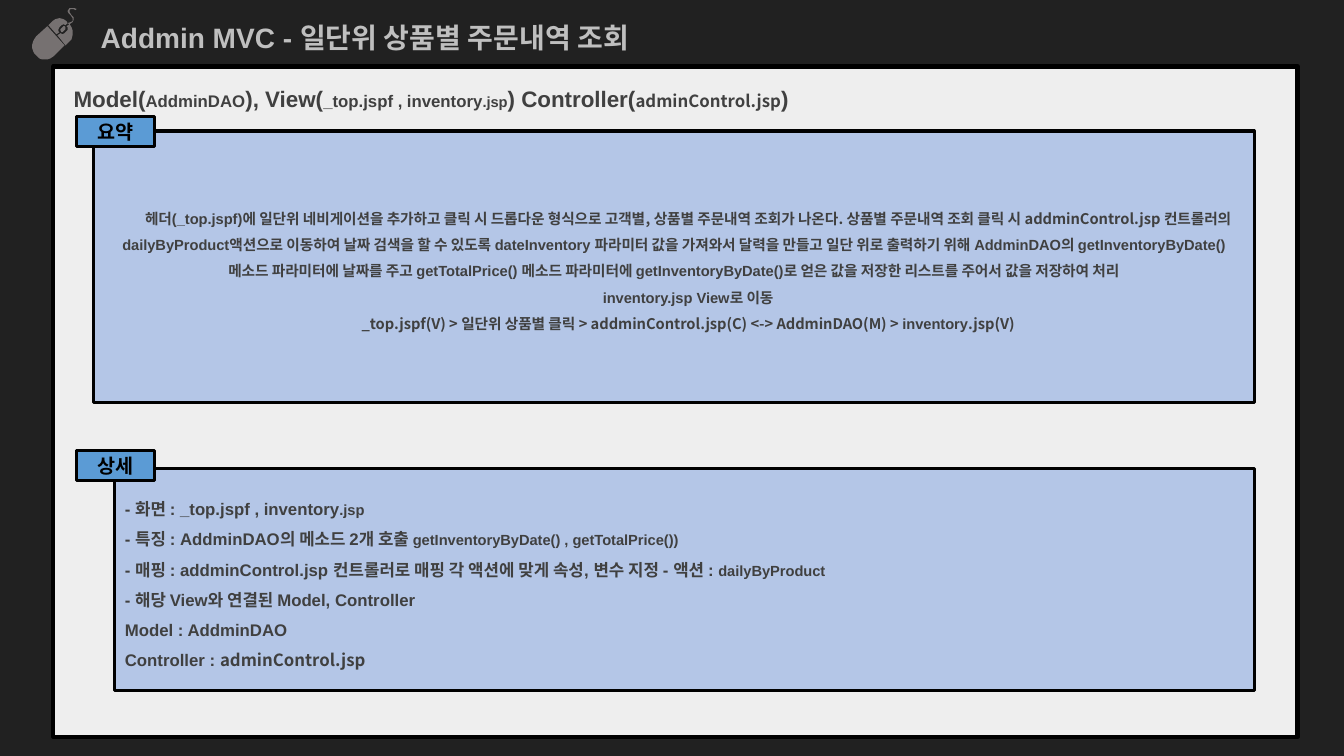
"""Build the slide on the daily order inquiry by product."""
from dataclasses import dataclass

from lxml.etree import SubElement
from pptx import Presentation
from pptx.dml.color import RGBColor
from pptx.enum.shapes import MSO_SHAPE
from pptx.enum.text import MSO_ANCHOR, PP_ALIGN
from pptx.oxml.ns import qn
from pptx.shapes.autoshape import Shape
from pptx.slide import Slide
from pptx.text.text import TextFrame
from pptx.util import Inches, Pt

NIGHT = RGBColor(0x21, 0x21, 0x21)
PAPER = RGBColor(0xEE, 0xEE, 0xEE)
PANEL = RGBColor(0xB4, 0xC6, 0xE7)
LABEL = RGBColor(0x5B, 0x9B, 0xD5)
BLACK = RGBColor(0x00, 0x00, 0x00)
BODY = RGBColor(0x40, 0x40, 0x40)
SILVER = RGBColor(0xBF, 0xBF, 0xBF)
MOUSE = RGBColor(0x76, 0x71, 0x71)
ARIAL = "Arial"
NOTO = "Noto Sans CJK KR"


@dataclass(frozen=True)
class Span:
    text: str
    size: float
    font: str = ARIAL
    color: RGBColor = BODY


@dataclass(frozen=True)
class Box:
    left: float
    top: float
    width: float
    height: float
    fill: RGBColor
    border: float
    paras: list[list[Span]]
    align: PP_ALIGN = PP_ALIGN.LEFT
    anchor: MSO_ANCHOR = MSO_ANCHOR.MIDDLE
    spacing: float = 1.5
    indent: float = 0
    inset: float = 0.1


TITLE = [[Span("Addmin MVC - 일단위 상품별 주문내역 조회", 20, color=SILVER)]]
HEADING = [[
    Span("Model(", 16), Span("AddminDAO", 12), Span("), View(", 16),
    Span("_top.jspf ,", 12), Span(" ", 11), Span("inventory", 12), Span(".jsp", 10.5),
    Span(") Controller(", 16), Span("adminControl.jsp", 12, NOTO), Span(")", 16),
]]
SUMMARY = [
    [
        Span("헤더(_top.jspf)에 ", 10.5),
        Span("일단위 네비게이션을 추가하고 클릭 시 드롭다운 형식으로 고객별, 상품별 주문내역 조회가 나온다. "
             "상품별 주문내역 조회 클릭 시 addminControl.jsp 컨트롤러의 ", 10.5, NOTO),
        Span("dailyByProduct액션으로 이동하여 날짜 검색을 할 수 있도록 dateInventory 파라미터 값을 "
             "가져와서 달력을 만들고 일단 위로 출력하기 위해 AddminDAO의 getInventoryByDate() "
             "메소드 파라미터에 날짜를 주고 getTotalPrice() 메소드 파라미터에 getInventoryByDate()로 "
             "얻은 값을 저장한 리스트를 주어서 값을 저장하여 처리", 10.5),
    ],
    [Span("inventory.jsp View로 이동", 10.5)],
    [
        Span("_top.jspf(V) > 일단위 상품별 클릭 > addminControl.jsp(C) <-> AddminDAO(M) > ",
             10.5, NOTO),
        Span("inventory", 10.5), Span(".jsp(V)", 10.5, NOTO),
    ],
]
DETAILS = [
    [Span("- 화면 : _top.jspf ,", 12), Span(" ", 11), Span("inventory", 12), Span(".jsp", 10.5)],
    [Span("- 특징 : AddminDAO의 메소드 2개 호출 ", 12),
     Span("getInventoryByDate() , getTotalPrice())", 10.5)],
    [Span("- 매핑 : addminControl.jsp 컨트롤러로 매핑 각 액션에 맞게 속성, 변수 지정 - 액션 : ", 12),
     Span("dailyByProduct", 10.5)],
    [Span("- 해당 View와 연결된 Model, Controller", 12)],
    [Span("Model : AddminDAO", 12)],
    [Span("Controller : ", 12), Span("adminControl.jsp", 12, NOTO)],
]


def label(top: float, height: float, text: str) -> Box:
    """Describe the small tab that names a panel."""
    return Box(0.76, top, 0.77, height, LABEL, 2.25, [[Span(text, 14, NOTO, BLACK)]],
               PP_ALIGN.CENTER, spacing=1)


PAGE = Box(0.53, 0.66, 12.34, 6.65, PAPER, 3, HEADING, anchor=MSO_ANCHOR.TOP, inset=0.2)
PANELS = [
    Box(0.93, 1.3, 11.51, 2.69, PANEL, 2.25, SUMMARY, PP_ALIGN.CENTER, indent=0.28),
    label(1.16, 0.29, "요약"),
    Box(1.14, 4.65, 11.3, 2.2, PANEL, 2.25, DETAILS),
    label(4.47, 0.3, "상세"),
]

MOUSE_UNIT = 0.01
MOUSE_OUTLINES = [
    [(64, 26), (65, 27), (65, 29), (62, 32), (61, 32), (60, 30), (60, 29), (63, 26)],
    [(47, 26), (64, 45), (53, 56), (50, 58), (47, 59), (42, 59), (39, 58), (37, 56),
     (34, 53), (33, 51), (32, 48), (32, 44), (33, 41), (34, 39), (36, 36)],
    [(69, 24), (71, 27), (72, 30), (72, 35), (71, 39), (69, 41), (65, 45), (57, 35),
     (60, 33), (62, 34), (64, 33), (67, 30), (67, 27), (66, 26)],
    [(59, 18), (63, 19), (66, 21), (67, 23), (65, 25), (63, 24), (61, 25), (59, 27),
     (58, 29), (58, 31), (59, 32), (56, 34), (48, 25), (52, 21), (55, 19)],
    [(71, 8), (74, 8), (76, 9), (75, 10), (73, 9), (70, 9), (69, 10), (69, 12),
     (71, 15), (73, 17), (73, 20), (72, 22), (69, 24), (67, 23), (70, 22), (72, 21),
     (72, 18), (70, 15), (68, 13), (67, 11), (69, 8)],
]


def write(frame: TextFrame, paras: list[list[Span]], align: PP_ALIGN,
          spacing: float, indent: float = 0) -> None:
    """Fill a text frame with formatted paragraphs."""
    frame.word_wrap = True
    for index, spans in enumerate(paras):
        para = frame.add_paragraph() if index else frame.paragraphs[0]
        para.alignment = align
        para.line_spacing = spacing
        if indent:
            para._p.get_or_add_pPr().set("indent", str(Inches(indent)))
        for span in spans:
            run = para.add_run()
            run.text = span.text
            run.font.size = Pt(span.size)
            run.font.bold = True
            run.font.name = span.font
            run.font.color.rgb = span.color
            SubElement(run._r.get_or_add_rPr(), qn("a:ea"), typeface=NOTO)


def paint(shape: Shape, fill: RGBColor) -> None:
    """Give a shape a flat fill without shadow."""
    shape.shadow.inherit = False
    shape.fill.solid()
    shape.fill.fore_color.rgb = fill


def draw_box(slide: Slide, box: Box) -> None:
    """Draw a bordered rectangle with its text."""
    shape = slide.shapes.add_shape(MSO_SHAPE.RECTANGLE, Inches(box.left), Inches(box.top),
                                   Inches(box.width), Inches(box.height))
    paint(shape, box.fill)
    shape.line.color.rgb = BLACK
    shape.line.width = Pt(box.border)
    frame = shape.text_frame
    frame.margin_left = Inches(box.inset)
    frame.vertical_anchor = box.anchor
    write(frame, box.paras, box.align, box.spacing, box.indent)


def draw_title(slide: Slide) -> None:
    """Write the title above the page."""
    box = slide.shapes.add_textbox(Inches(0.9), Inches(0.11), Inches(8.38), Inches(0.48))
    write(box.text_frame, TITLE, PP_ALIGN.LEFT, 1.14)


def draw_mouse(slide: Slide) -> None:
    """Draw the computer mouse beside the title."""
    first, *others = MOUSE_OUTLINES
    builder = slide.shapes.build_freeform(*first[0], scale=Inches(MOUSE_UNIT))
    builder.add_line_segments(first[1:])
    for outline in others:
        builder.move_to(*outline[0])
        builder.add_line_segments(outline[1:])
    mouse = builder.convert_to_shape()
    paint(mouse, MOUSE)
    mouse.line.fill.background()


def main() -> None:
    """Build and save the deck."""
    deck = Presentation()
    deck.slide_width = Inches(13.33)
    deck.slide_height = Inches(7.5)
    slide = deck.slides.add_slide(deck.slide_layouts[6])
    slide.background.fill.solid()
    slide.background.fill.fore_color.rgb = NIGHT
    draw_box(slide, PAGE)
    draw_title(slide)
    draw_mouse(slide)
    for panel in PANELS:
        draw_box(slide, panel)
    deck.save("out.pptx")


if __name__ == "__main__":
    main()
